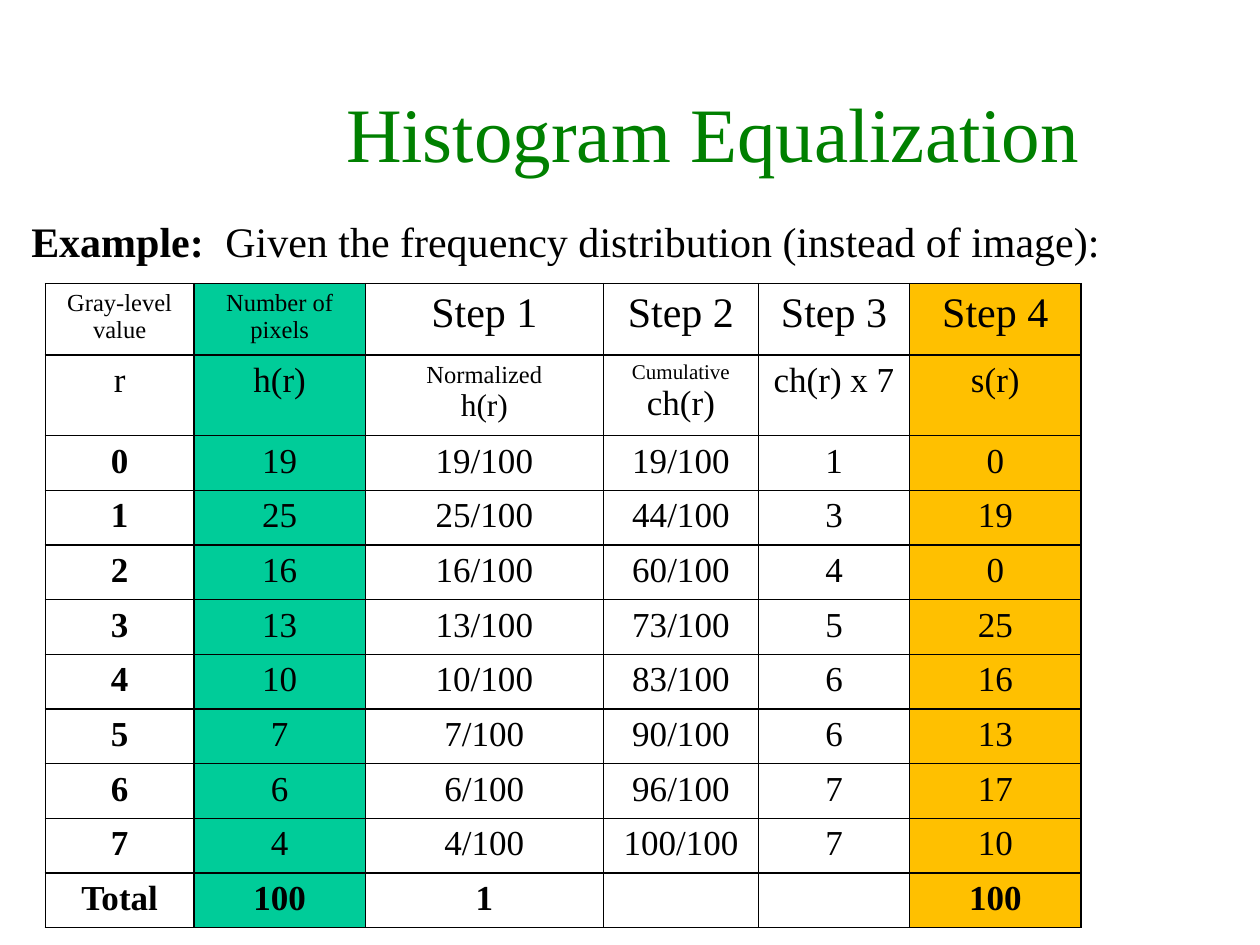
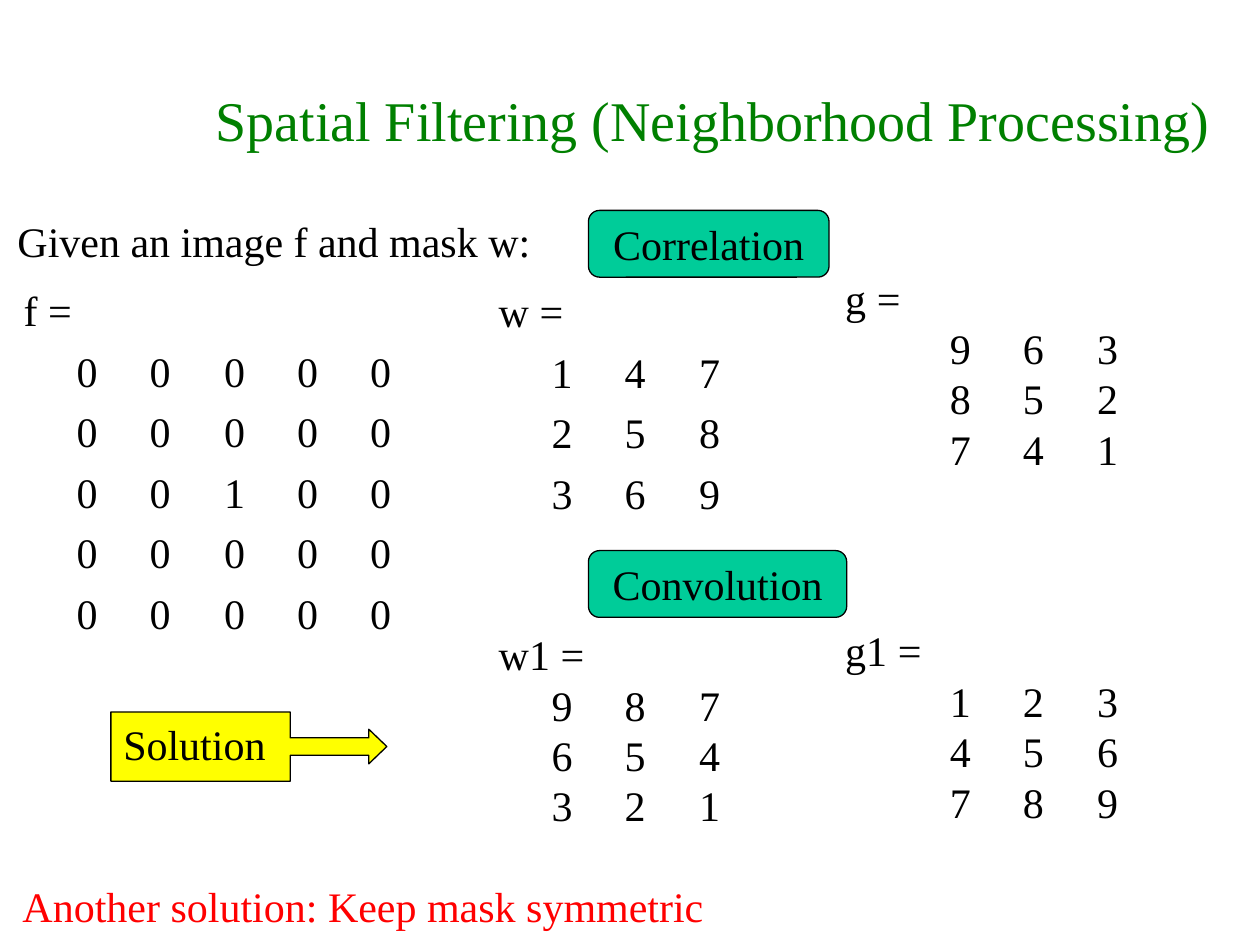
"""Build two slides on histogram equalization and spatial filtering."""
from dataclasses import dataclass
from itertools import accumulate
from typing import Any, NamedTuple, Optional

import lxml.etree
import pptx
import pptx.dml.color
import pptx.enum.shapes
import pptx.enum.text
import pptx.oxml
import pptx.oxml.ns
import pptx.util

Inches = pptx.util.Inches
Pt = pptx.util.Pt
RGBColor = pptx.dml.color.RGBColor
Align = pptx.enum.text.PP_ALIGN
Anchor = pptx.enum.text.MSO_ANCHOR
Preset = pptx.enum.shapes.MSO_SHAPE

FONT = "Times New Roman"
BLACK = RGBColor(0x00, 0x00, 0x00)
TITLE_GREEN = RGBColor(0x00, 0x80, 0x00)
TEAL = RGBColor(0x00, 0xCC, 0x99)
GOLD = RGBColor(0xFF, 0xC0, 0x00)
YELLOW = RGBColor(0xFF, 0xFF, 0x00)
RED = RGBColor(0xFF, 0x00, 0x00)

BODY_SIZE = 24
LEADING = 1.2
DIGIT_GAP = 0.583
PIXEL_COUNTS = [19, 25, 16, 13, 10, 7, 6, 4]
COLUMN_WIDTHS = [1.18, 1.36, 1.89, 1.23, 1.2, 1.36]
ROW_HEIGHTS = [0.56, 0.64] + [3.9 / 9] * 9
COLUMN_FILLS = {1: TEAL, 5: GOLD}


class Box(NamedTuple):
    """Position and size in inches."""

    left: float
    top: float
    width: float
    height: float

    def emu(self) -> list[int]:
        """Return the four lengths for python-pptx."""
        return [Inches(length) for length in self]


class Span(NamedTuple):
    """A piece of text with one size and weight."""

    text: str
    size: float = BODY_SIZE
    bold: bool = False


@dataclass(frozen=True)
class Matrix:
    """A named grid of digits."""

    name: str
    box: Box
    rows: list[str]
    first_digit: float
    leading: float = LEADING


@dataclass(frozen=True)
class Label:
    """A filled shape holding a caption."""

    caption: str
    box: Box
    preset: Any
    fill: RGBColor
    align: Any = Align.CENTER
    anchor: Any = Anchor.MIDDLE
    adjustments: tuple[float, ...] = ()


MATRICES = [
    Matrix("f =", Box(0.09, 2.13, 3.24, 3.01),
           ["00000", "00000", "00100", "00000", "00000"], 0.42, LEADING ** 2),
    Matrix("w =", Box(3.86, 2.14, 2.45, 2.02), ["147", "258", "369"], 0.42, LEADING ** 2),
    Matrix("w1 =", Box(3.86, 4.94, 2.45, 1.7), ["987", "654", "321"], 0.42),
    Matrix("g =", Box(6.61, 2.11, 3.28, 1.7), ["963", "852", "741"], 0.83),
    Matrix("g1 =", Box(6.61, 4.91, 3.28, 1.7), ["123", "456", "789"], 0.83),
]
LABELS = [
    Label("Solution", Box(0.88, 5.65, 2.19, 0.55), Preset.RIGHT_ARROW_CALLOUT, YELLOW,
          Align.LEFT, Anchor.TOP, (0.25, 0.25, 0.26, 0.65)),
    Label("Correlation", Box(4.67, 1.67, 1.91, 0.53), Preset.ROUNDED_RECTANGLE, TEAL),
    Label("Convolution", Box(4.67, 4.37, 2.05, 0.53), Preset.ROUNDED_RECTANGLE, TEAL),
]


def write_text(frame: Any, paragraphs: list[list[Span]], *, color: RGBColor = BLACK,
               align: Any = Align.LEFT, leading: Optional[float] = LEADING,
               tabs: tuple[float, ...] = ()) -> None:
    """Fill a text frame with formatted paragraphs."""
    frame.word_wrap = True
    for index, spans in enumerate(paragraphs):
        paragraph = frame.add_paragraph() if index else frame.paragraphs[0]
        if tabs:
            stops = lxml.etree.SubElement(paragraph._p.get_or_add_pPr(),
                                          pptx.oxml.ns.qn("a:tabLst"))
            for stop in tabs:
                lxml.etree.SubElement(stops, pptx.oxml.ns.qn("a:tab"),
                                      pos=str(Inches(stop)), algn="l")
        paragraph.alignment = align
        if leading:
            paragraph.line_spacing = Pt(leading * max(span.size for span in spans))
        for span in spans:
            run = paragraph.add_run()
            run.text = span.text
            run.font.name = FONT
            run.font.size = Pt(span.size)
            run.font.bold = span.bold
            run.font.color.rgb = color


def add_text(slide: Any, box: Box, paragraphs: list[list[Span]], **text_format: Any) -> None:
    """Add a text box."""
    write_text(slide.shapes.add_textbox(*box.emu()).text_frame, paragraphs, **text_format)


def add_titled_slide(deck: Any, title: str, size: float) -> Any:
    """Add a blank slide with the shared green title."""
    slide = deck.slides.add_slide(deck.slide_layouts[6])
    add_text(slide, Box(1.43, 0.63, 8.46, 0.1 + LEADING * size / 72),
             [[Span(title, size)]], color=TITLE_GREEN, align=Align.CENTER)
    return slide


def add_matrix(slide: Any, matrix: Matrix) -> None:
    """Add a matrix whose digits stand on tab stops."""
    rows = ["".join(f"\t{digit}" for digit in row) for row in matrix.rows]
    tabs = tuple(round(matrix.first_digit + DIGIT_GAP * column, 2)
                 for column in range(len(matrix.rows[0])))
    add_text(slide, matrix.box, [[Span(line)] for line in [matrix.name, *rows]],
             leading=matrix.leading, tabs=tabs)


def add_label(slide: Any, label: Label) -> None:
    """Add an outlined, filled shape with its caption."""
    shape = slide.shapes.add_shape(label.preset, *label.box.emu())
    for index, value in enumerate(label.adjustments):
        shape.adjustments[index] = value
    shape.shadow.inherit = False
    shape.fill.solid()
    shape.fill.fore_color.rgb = label.fill
    shape.line.color.rgb = BLACK
    shape.line.width = Pt(0.75)
    shape.text_frame.vertical_anchor = label.anchor
    write_text(shape.text_frame, [[Span(label.caption)]], align=label.align)


def equalization_rows() -> list[list[list[list[Span]]]]:
    """Return the table cells, each a list of paragraphs."""
    total = sum(PIXEL_COUNTS)
    top_level = len(PIXEL_COUNTS) - 1
    cumulative = list(accumulate(PIXEL_COUNTS))
    new_levels = [round(count * top_level / total) for count in cumulative]
    headings = [Span("Gray-level value", 14), Span("Number of pixels", 14)]
    headings += [Span(f"Step {step}") for step in range(1, 5)]
    symbols = [
        [[Span("r", 20)]],
        [[Span("h(r)", 20)]],
        [[Span("Normalized", 14)], [Span("h(r)", 18)]],
        [[Span("Cumulative ", 12), Span("ch(r)", 20)]],
        [[Span(f"ch(r) x {top_level}", 20)]],
        [[Span("s(r)", 20)]],
    ]
    rows = [[[[heading]] for heading in headings], symbols]
    for level, count in enumerate(PIXEL_COUNTS):
        moved = sum(pixels for pixels, new in zip(PIXEL_COUNTS, new_levels) if new == level)
        values = [level, count, f"{count}/{total}", f"{cumulative[level]}/{total}",
                  new_levels[level], moved]
        rows.append([[[Span(str(value), 20, column == 0)]]
                     for column, value in enumerate(values)])
    totals = ["Total", str(total), "1", "", "", str(total)]
    rows.append([[[Span(value, 20, True)]] if value else [] for value in totals])
    return rows


def style_cell(cell: Any, fill: Optional[RGBColor]) -> None:
    """Give a cell black borders and its column's fill."""
    properties = cell._tc.get_or_add_tcPr()
    for side in ("lnL", "lnR", "lnT", "lnB"):
        properties.append(pptx.oxml.parse_xml(
            f'<a:{side} {pptx.oxml.ns.nsdecls("a")} w="{Pt(1)}"><a:solidFill>'
            f'<a:srgbClr val="{BLACK}"/></a:solidFill></a:{side}>'))
    if fill is None:
        cell.fill.background()
    else:
        cell.fill.solid()
        cell.fill.fore_color.rgb = fill


def add_equalization_table(slide: Any) -> None:
    """Add the step-by-step equalization table."""
    rows = equalization_rows()
    box = Box(0.36, 2.25, sum(COLUMN_WIDTHS), sum(ROW_HEIGHTS))
    table = slide.shapes.add_table(len(rows), len(COLUMN_WIDTHS), *box.emu()).table
    table.first_row = table.horz_banding = False
    for column, width in zip(table.columns, COLUMN_WIDTHS):
        column.width = Inches(width)
    for row, height in zip(table.rows, ROW_HEIGHTS):
        row.height = Inches(height)
    for row_index, row_cells in enumerate(rows):
        for column_index, paragraphs in enumerate(row_cells):
            cell = table.cell(row_index, column_index)
            style_cell(cell, COLUMN_FILLS.get(column_index))
            write_text(cell.text_frame, paragraphs, align=Align.CENTER, leading=None)


def build_equalization(deck: Any) -> None:
    """Build the histogram equalization slide."""
    slide = add_titled_slide(deck, "Histogram Equalization", 44)
    add_text(slide, Box(0.15, 1.66, 9.46, 0.5),
             [[Span("Example:", bold=True),
               Span("\tGiven the frequency distribution (instead of image):")]],
             tabs=(1.54,))
    add_equalization_table(slide)


def build_filtering(deck: Any) -> None:
    """Build the spatial filtering slide."""
    slide = add_titled_slide(deck, "Spatial Filtering (Neighborhood Processing)", 32)
    add_text(slide, Box(0.04, 1.66, 4.31, 0.5), [[Span("Given an image f and mask w:")]])
    for matrix in MATRICES:
        add_matrix(slide, matrix)
    for label in LABELS:
        add_label(slide, label)
    add_text(slide, Box(0.08, 6.94, 5.74, 0.5),
             [[Span("Another solution: Keep mask symmetric")]], color=RED)


def main() -> None:
    """Build and save the presentation."""
    deck = pptx.Presentation()
    deck.slide_width = Inches(10)
    deck.slide_height = Inches(7.5)
    build_equalization(deck)
    build_filtering(deck)
    deck.save("out.pptx")


if __name__ == "__main__":
    main()
